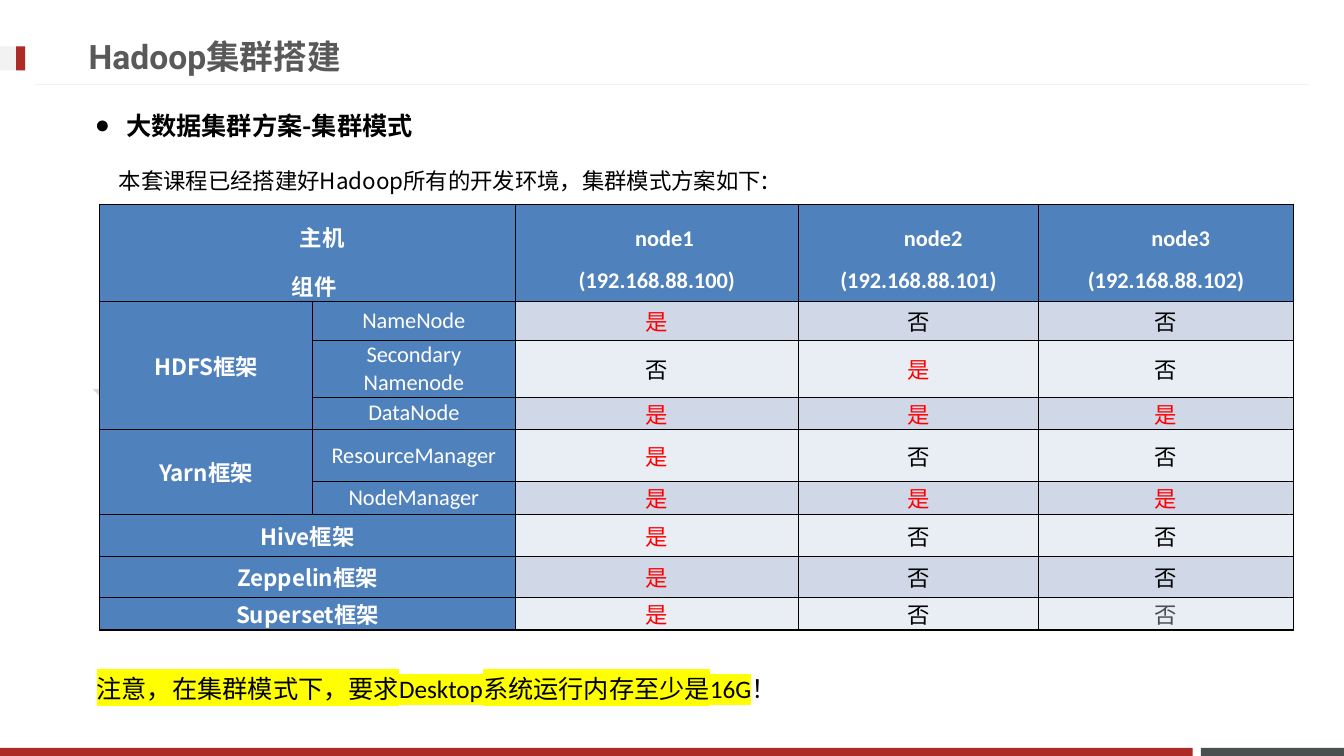
from lxml.etree import SubElement
from pptx import Presentation
from pptx.dml.color import RGBColor
from pptx.enum.shapes import MSO_CONNECTOR as Connector, MSO_SHAPE as Shape
from pptx.enum.text import MSO_ANCHOR as Anchor, MSO_AUTO_SIZE as AutoSize, PP_ALIGN as Align
from pptx.oxml import parse_xml
from pptx.oxml.ns import nsdecls, qn
from pptx.util import Inches, Pt

# Content
TITLE = "Hadoop集群搭建"
HEADING = "大数据集群方案-集群模式"
INTRO = "本套课程已经搭建好Hadoop所有的开发环境，集群模式方案如下"
WARNING = "注意，在集群模式下，要求Desktop系统运行内存至少是16G"
# Each header line with its left indent
HEADERS = [
    (0, [("主机", 0.29), ("组件", 0.13)]),
    (2, [("node1", 0.15), ("(192.168.88.100)", 0)]),
    (3, [("node2", 0.29), ("(192.168.88.101)", 0)]),
    (4, [("node3", 0.29), ("(192.168.88.102)", 0)]),
]
# Framework, component (None: no split), hosts node1 to node3
PLAN = [
    ("HDFS框架", "NameNode", "是否否"),
    ("HDFS框架", "Secondary\nNamenode", "否是否"),
    ("HDFS框架", "DataNode", "是是是"),
    ("Yarn框架", "ResourceManager", "是否否"),
    ("Yarn框架", "NodeManager", "是是是"),
    ("Hive框架", None, "是否否"),
    ("Zeppelin框架", None, "是否否"),
    ("Superset框架", None, "是否否"),
]
COLUMNS = [2.11, 2.01, 2.81, 2.38, 2.53]
ROWS = [0.95, 0.39, 0.56, 0.29, 0.52, 0.27, 0.42, 0.41, 0.27]
BARS = [  # left, top, width, height, colour
    (11.91, 7.42, 1.42, 0.08, "49504F"),
    (0, 7.42, 11.83, 0.08, "AD2B26"),
    (0, 0.46, 0.25, 0.24, "F2F2F2"),
    (0.16, 0.46, 0.09, 0.24, "AD2B26"),
]
CJK, LATIN = "Noto Sans CJK SC", "Calibri"
BLUE, BANDS = "4F81BD", ("D0D8E8", "E9EDF4")
BLACK, WHITE, RED, GREY = "000000", "FFFFFF", "FF0000", "49504F"


def color(value):
    return RGBColor.from_string(value)


def inches(*values):
    return [Inches(value) for value in values]


def write(para, text, size=16, font=CJK, fill=BLACK, bold=False, highlight=None):
    span = para.add_run()
    span.text = text
    span.font.size, span.font.name, span.font.bold = Pt(size), font, bold
    span.font.color.rgb = color(fill)
    props = span.font._element
    SubElement(props, qn("a:ea")).set("typeface", CJK)
    if highlight:
        props.find(qn("a:solidFill")).addnext(parse_xml(
            f'<a:highlight {nsdecls("a")}><a:srgbClr val="{highlight}"/></a:highlight>'))


def add_shape(page, kind, left, top, width, height, fill):
    shape = page.shapes.add_shape(kind, *inches(left, top, width, height))
    shape.shadow.inherit = False
    shape.fill.solid()
    shape.fill.fore_color.rgb = color(fill)
    shape.line.fill.background()
    return shape


def move(box, left, top, width, height):
    box.left, box.top, box.width, box.height = inches(left, top, width, height)
    frame = box.text_frame
    frame.word_wrap, frame.auto_size = True, AutoSize.NONE
    return frame.paragraphs[0]


def add_text(page, *place):
    return move(page.shapes.add_textbox(0, 0, 0, 0), *place)


def style_cell(cell, fill):
    cell.fill.solid()
    cell.fill.fore_color.rgb = color(fill)
    cell.vertical_anchor = Anchor.MIDDLE
    cell.margin_left = cell.margin_right = Inches(0.07)
    cell.margin_top = cell.margin_bottom = 0
    props = cell._tc.get_or_add_tcPr()
    for index, side in enumerate(("lnL", "lnR", "lnT", "lnB")):
        props.insert(index, parse_xml(
            f'<a:{side} {nsdecls("a")} w="12700"><a:solidFill>'
            f'<a:srgbClr val="{BLACK}"/></a:solidFill></a:{side}>'))


def fill_cell(cell, lines, spacing=1.0, **style):
    for index, (text, indent) in enumerate(lines):
        frame = cell.text_frame
        para = frame.add_paragraph() if index else frame.paragraphs[0]
        para.alignment, para.line_spacing = Align.CENTER, spacing
        para._p.get_or_add_pPr().set("marL", str(Inches(indent)))
        write(para, text, **style)


def add_plan(page):
    table = page.shapes.add_table(
        len(ROWS), len(COLUMNS), *inches(0.99, 2.03, sum(COLUMNS), sum(ROWS))).table
    table.first_row = table.horz_banding = False
    for column, width in zip(table.columns, COLUMNS):
        column.width = Inches(width)
    for row, height in zip(table.rows, ROWS):
        row.height = Inches(height)
    for row in range(len(ROWS)):
        for column in range(len(COLUMNS)):
            head = row == 0 or column < 2
            style_cell(table.cell(row, column), BLUE if head else BANDS[(row - 1) % 2])

    # Header row
    table.cell(0, 0).merge(table.cell(0, 1))
    for column, lines in HEADERS:
        fill_cell(table.cell(0, column), lines, 1.5, font=LATIN, fill=WHITE, bold=True)

    # Frameworks, components and hosts
    names = [name for name, _, _ in PLAN]
    for row, (name, component, hosts) in enumerate(PLAN, 1):
        if names.index(name) == row - 1:
            last = table.cell(row + names.count(name) - 1, 0 if component else 1)
            table.cell(row, 0).merge(last)
            fill_cell(table.cell(row, 0), [(name, 0)], fill=WHITE, bold=True)
        if component:
            lines = [(line, 0) for line in component.split("\n")]
            fill_cell(table.cell(row, 1), lines, font=LATIN, fill=WHITE)
        for column, mark in enumerate(hosts, 2):
            final = row == len(PLAN) and column == 4
            fill = RED if mark == "是" else GREY if final else BLACK
            fill_cell(table.cell(row, column), [(mark, 0)], font=LATIN, fill=fill)


def main():
    deck = Presentation()
    deck.slide_width, deck.slide_height = inches(13.33, 7.5)
    page = deck.slides.add_slide(deck.slide_layouts[1])

    # Frame of the page
    for *place, fill in BARS:
        add_shape(page, Shape.RECTANGLE, *place, fill)
    rule = page.shapes.add_connector(Connector.STRAIGHT, *inches(0.35, 0.84, 12.98, 0.84))
    rule.line.color.rgb, rule.line.width = color("F2F2F2"), Pt(0.75)
    SubElement(rule._element.spPr, qn("a:effectLst"))
    add_shape(page, Shape.ISOSCELES_TRIANGLE, 0.93, 3.84, 0.16, 0.09, "D9D9D9").rotation = 44.2

    # Title
    para = move(page.shapes.title, 0.78, 0.27, 9.59, 0.57)
    page.shapes.title.text_frame.vertical_anchor = Anchor.MIDDLE
    para.alignment = Align.LEFT
    write(para, TITLE, size=24, font="Roboto", fill="595959", bold=True)

    add_plan(page)

    # Bulleted heading
    para = move(page.placeholders[1], 0.84, 1.04, 3.68, 0.4)
    para.space_before = Pt(0)
    props = para._p.get_or_add_pPr()
    props.set("marL", str(Inches(0.31)))
    props.set("indent", str(Inches(-0.31)))
    SubElement(props, qn("a:buChar")).set("char", "●")
    write(para, HEADING, size=18, bold=True)

    # Lines above and below the table
    para = add_text(page, 1.08, 1.58, 8.74, 0.4)
    write(para, INTRO)
    write(para, ":", size=18)
    para = add_text(page, 0.86, 6.63, 9.03, 0.4)
    write(para, WARNING, size=18, font=LATIN, highlight="FFFF00")
    write(para, "！", size=18, font=LATIN)

    deck.save("out.pptx")


if __name__ == "__main__":
    main()
